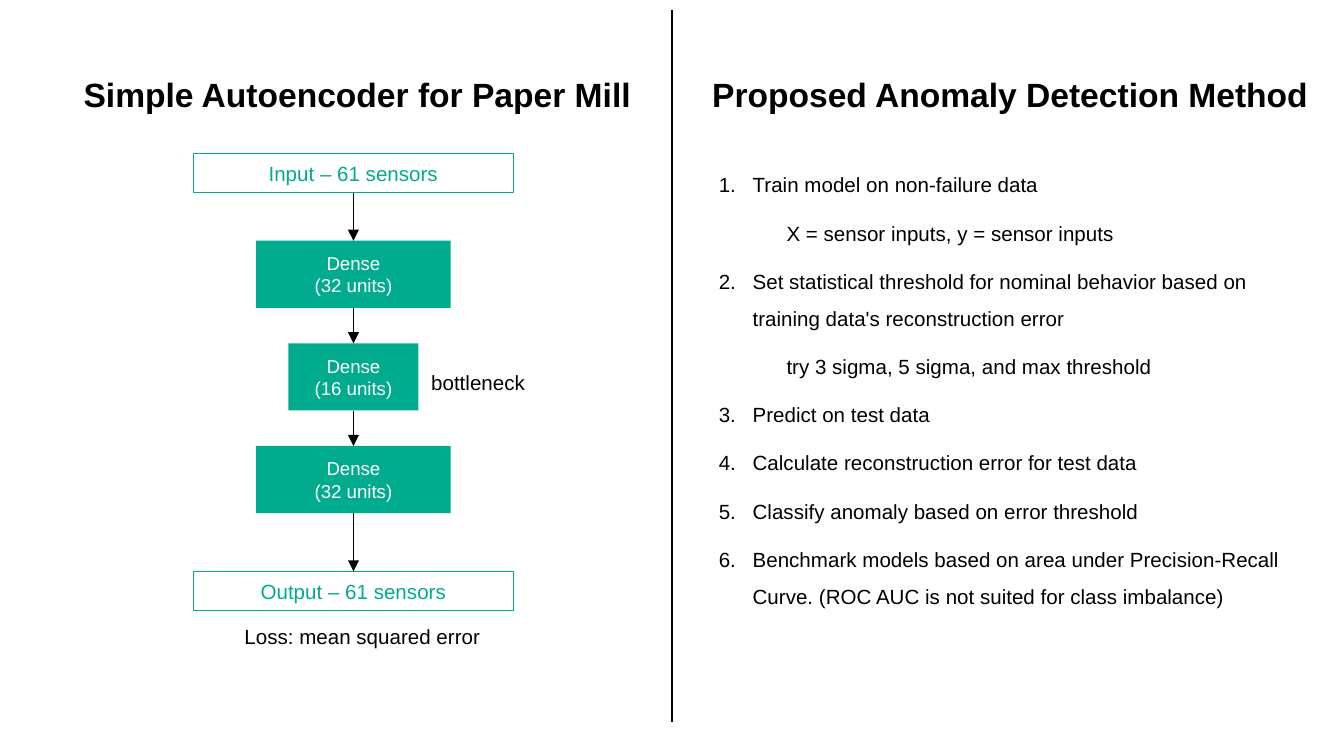
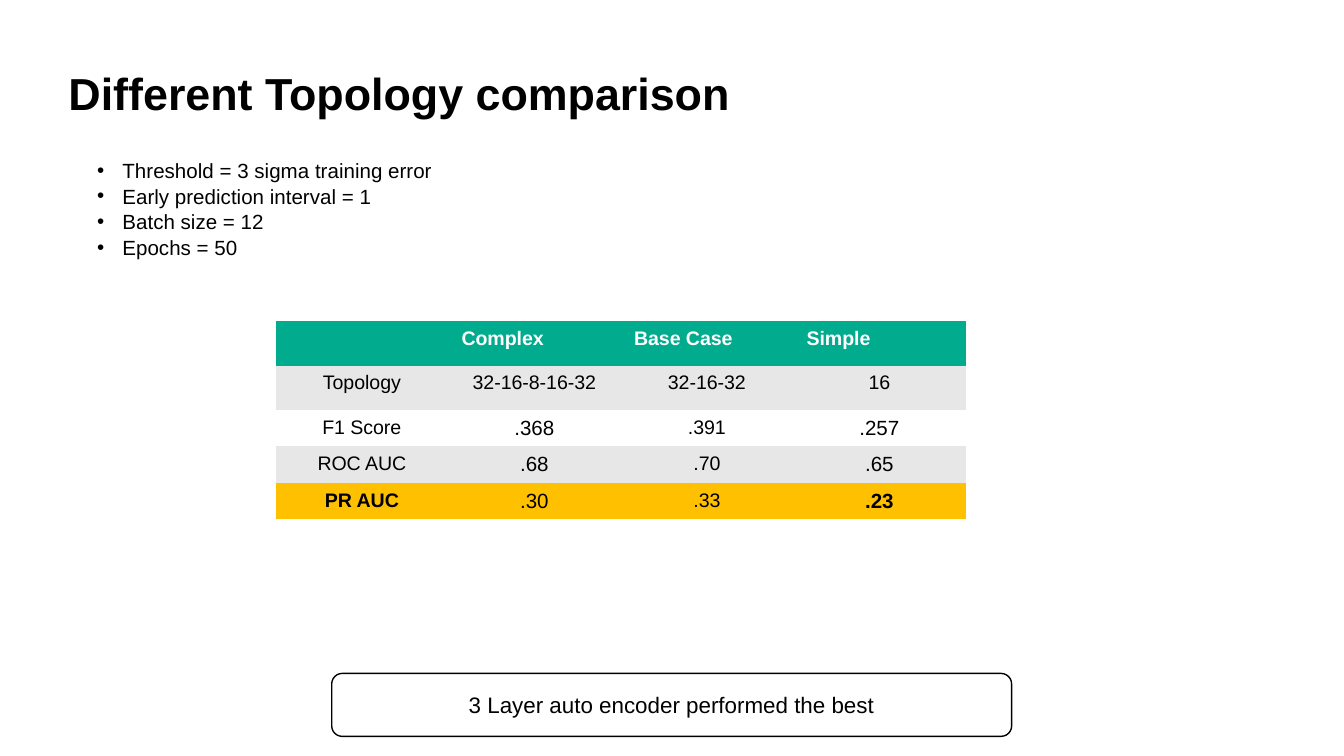
from dataclasses import dataclass
from itertools import pairwise

from lxml import etree
from pptx import Presentation
from pptx.dml.color import RGBColor
from pptx.enum.shapes import MSO_CONNECTOR, MSO_SHAPE
from pptx.enum.text import MSO_ANCHOR, MSO_AUTO_SIZE, PP_ALIGN
from pptx.oxml.ns import qn
from pptx.util import Cm, Pt

LEFT, CENTER = PP_ALIGN.LEFT, PP_ALIGN.CENTER
TOP, MIDDLE = MSO_ANCHOR.TOP, MSO_ANCHOR.MIDDLE
NO_AUTOFIT = MSO_AUTO_SIZE.NONE
RECT, ROUNDED = MSO_SHAPE.RECTANGLE, MSO_SHAPE.ROUNDED_RECTANGLE
STRAIGHT = MSO_CONNECTOR.STRAIGHT
TITLE_AND_CONTENT = 1
PLAIN_TABLE = "{2D5ABB26-0587-4C30-8999-92F81FD0307C}"


@dataclass(frozen=True)
class Theme:
    font: str = "Arial"
    ink: str = "000000"
    paper: str = "FFFFFF"
    green: str = "00AB8E"
    stripe: str = "E7E7E7"
    highlight: str = "FFC000"
    title: float = 24
    half_title: float = 18
    callout: float = 12
    body: float = 11
    cell: float = 10.5
    layer: float = 10
    outline: float = 0.75
    rule: float = 1


THEME = Theme()

MODEL_TITLE = "Simple Autoencoder for Paper Mill"
METHOD_TITLE = "Proposed Anomaly Detection Method"
INPUT_LABEL, OUTPUT_LABEL = "Input – 61 sensors", "Output – 61 sensors"
LAYERS = [(32, 3.68), (16, 2.46), (32, 3.68)]
BOTTLENECK_LABEL = "bottleneck"
LOSS_LABEL = "Loss: mean squared error"
METHOD_STEPS = [
    (0, "Train model on non-failure data"),
    (1, "X = sensor inputs, y = sensor inputs"),
    (0, "Set statistical threshold for nominal behavior based on "
        "training data's reconstruction error"),
    (1, "try 3 sigma, 5 sigma, and max threshold"),
    (0, "Predict on test data"),
    (0, "Calculate reconstruction error for test data"),
    (0, "Classify anomaly based on error threshold"),
    (0, "Benchmark models based on area under Precision-Recall Curve. "
        "(ROC AUC is not suited for class imbalance)"),
]

COMPARISON_TITLE = "Different Topology comparison"
SETTINGS = [
    "Threshold = 3 sigma training error",
    "Early prediction interval = 1",
    "Batch size = 12",
    "Epochs = 50",
]
SCORES = [
    ("", "Complex", "Base Case", "Simple"),
    ("Topology", "32-16-8-16-32", "32-16-32", "16"),
    ("F1 Score", ".368", ".391", ".257"),
    ("ROC AUC", ".68", ".70", ".65"),
    ("PR AUC", ".30", ".33", ".23"),
]
ROW_FILLS = [THEME.green, THEME.stripe, THEME.paper, THEME.stripe, THEME.highlight]
ROW_HEIGHTS = [0.84, 0.84, 0.69, 0.69, 0.69]
COLUMN_WIDTH = 3.26
BOLD_SCORES = {"PR AUC", ".23"}
CONCLUSION = "3 Layer auto encoder performed the best"

FLOW_CENTER = 6.68
SENSOR_SIZE = (6.05, 0.74)
INPUT_TOP, OUTPUT_TOP = 2.9, 10.8
LAYER_TOP, LAYER_STEP, LAYER_HEIGHT = 4.55, 1.94, 1.27


def rgb(color):
    return RGBColor.from_string(color)


def cm(values):
    return [Cm(value) for value in values]


def add_run(paragraph, text, size, color=THEME.ink, bold=False):
    run = paragraph.add_run()
    run.text = text
    run.font.name = THEME.font
    run.font.size = Pt(size)
    run.font.bold = bold
    run.font.color.rgb = rgb(color)


def write(frame, lines, size, color=THEME.ink, bold=False, align=LEFT, anchor=MIDDLE):
    frame.word_wrap = True
    frame.auto_size = NO_AUTOFIT
    frame.vertical_anchor = anchor
    paragraphs = []
    for index, line in enumerate(lines):
        paragraph = frame.add_paragraph() if index else frame.paragraphs[0]
        paragraph.alignment = align
        add_run(paragraph, line, size, color, bold)
        paragraphs.append(paragraph)
    return paragraphs


def place(part, box):
    part.left, part.top, part.width, part.height = cm(box)


def set_title(slide, text, box, size, align=LEFT):
    place(slide.shapes.title, box)
    write(slide.shapes.title.text_frame, [text], size, bold=True, align=align)


def fill_body(slide, lines, box):
    body = slide.placeholders[1]
    place(body, box)
    paragraphs = write(body.text_frame, lines, THEME.body, anchor=TOP)
    for paragraph in paragraphs:
        paragraph.space_before = Pt(0)
    return paragraphs


def set_bullet(paragraph, margin, indent, tag, **attributes):
    properties = paragraph._p.get_or_add_pPr()
    properties.set("marL", str(Cm(margin)))
    properties.set("indent", str(Cm(indent)))
    etree.SubElement(properties, qn(f"a:{tag}"), attributes)


def add_label(slide, text, box, size=THEME.body, bold=False):
    label = slide.shapes.add_textbox(*cm(box))
    write(label.text_frame, [text], size, bold=bold)


def add_box(slide, kind, box, lines, size, color, fill=None, outline=None):
    shape = slide.shapes.add_shape(kind, *cm(box))
    shape.shadow.inherit = False
    if fill:
        shape.fill.solid()
        shape.fill.fore_color.rgb = rgb(fill)
    else:
        shape.fill.background()
    if outline:
        shape.line.color.rgb = rgb(outline)
        shape.line.width = Pt(THEME.outline)
    else:
        shape.line.fill.background()
    write(shape.text_frame, lines, size, color, align=CENTER)


def add_vertical(slide, x, top, bottom, arrow=False):
    line = slide.shapes.add_connector(STRAIGHT, *cm((x, top, x, bottom)))
    line.line.color.rgb = rgb(THEME.ink)
    line.line.width = Pt(THEME.rule)
    properties = line._element.spPr
    if arrow:
        etree.SubElement(properties.find(qn("a:ln")), qn("a:tailEnd"), type="triangle")
    etree.SubElement(properties, qn("a:effectLst"))


def add_model(slide):
    width, height = SENSOR_SIZE
    spans = [(INPUT_TOP, INPUT_TOP + height)]
    for label, top in ((INPUT_LABEL, INPUT_TOP), (OUTPUT_LABEL, OUTPUT_TOP)):
        add_box(slide, RECT, (FLOW_CENTER - width / 2, top, width, height),
                [label], THEME.body, THEME.green, outline=THEME.green)
    for index, (units, layer_width) in enumerate(LAYERS):
        top = LAYER_TOP + index * LAYER_STEP
        add_box(slide, RECT,
                (FLOW_CENTER - layer_width / 2, top, layer_width, LAYER_HEIGHT),
                ["Dense", f"({units} units)"], THEME.layer, THEME.paper, fill=THEME.green)
        spans.append((top, top + LAYER_HEIGHT))
    spans.append((OUTPUT_TOP, OUTPUT_TOP + height))
    for (_, start), (end, _) in pairwise(spans):
        add_vertical(slide, FLOW_CENTER, start, end, arrow=True)
    add_label(slide, BOTTLENECK_LABEL, (7.9, 6.86, 2.67, 0.74))
    add_label(slide, LOSS_LABEL, (4.37, 11.66, 5.74, 0.74))


def add_method(slide):
    add_label(slide, METHOD_TITLE, (13.21, 0.99, 12.19, 1.57), THEME.half_title, bold=True)
    paragraphs = fill_body(slide, [text for _, text in METHOD_STEPS],
                           (13.31, 2.9, 11.23, 9.65))
    for paragraph, (level, _) in zip(paragraphs, METHOD_STEPS):
        paragraph.level = level
        paragraph.line_spacing = 1.5
        paragraph.space_after = Pt(6)
        if level:
            set_bullet(paragraph, 1.3, 0, "buNone")
        else:
            set_bullet(paragraph, 0.66, -0.64, "buAutoNum", type="arabicPeriod")


def add_scores(slide):
    rows, columns = len(SCORES), len(SCORES[0])
    box = (5.21, 6.07, COLUMN_WIDTH * columns, sum(ROW_HEIGHTS))
    table = slide.shapes.add_table(rows, columns, *cm(box)).table
    table.first_row = table.horz_banding = False
    table._tbl.tblPr.find(qn("a:tableStyleId")).text = PLAIN_TABLE
    for column in table.columns:
        column.width = Cm(COLUMN_WIDTH)
    for r, (scores, fill, height) in enumerate(zip(SCORES, ROW_FILLS, ROW_HEIGHTS)):
        table.rows[r].height = Cm(height)
        for c, score in enumerate(scores):
            cell = table.cell(r, c)
            cell.fill.solid()
            cell.fill.fore_color.rgb = rgb(fill)
            if not score:
                cell.margin_top = cell.margin_bottom = 0
                continue
            header = r == 0
            paragraph = cell.text_frame.paragraphs[0]
            paragraph.alignment = LEFT if header else CENTER
            size = THEME.body if r > 1 and c in (1, 3) else THEME.cell
            add_run(paragraph, score, size, THEME.paper if header else THEME.ink,
                    header or score in BOLD_SCORES)


def build_method_slide(slide):
    set_title(slide, MODEL_TITLE, (0.81, 0.99, 11.89, 1.57), THEME.half_title, CENTER)
    add_model(slide)
    add_vertical(slide, 12.7, 0.18, 13.64)
    add_method(slide)


def build_comparison_slide(slide):
    set_title(slide, COMPARISON_TITLE, (1.04, 0.97, 22.86, 1.57), THEME.title)
    for paragraph in fill_body(slide, SETTINGS, (1.55, 2.84, 11.15, 2.62)):
        paragraph.line_spacing = 1.04
        set_bullet(paragraph, 0.51, -0.48, "buChar", char="•")
    add_scores(slide)
    add_box(slide, ROUNDED, (6.27, 12.73, 12.85, 1.19), [CONCLUSION],
            THEME.callout, THEME.ink, outline=THEME.ink)


def main():
    deck = Presentation()
    deck.slide_width, deck.slide_height = Cm(25.4), Cm(14.29)
    layout = deck.slide_layouts[TITLE_AND_CONTENT]
    for build in (build_method_slide, build_comparison_slide):
        build(deck.slides.add_slide(layout))
    deck.save("out.pptx")


if __name__ == "__main__":
    main()
